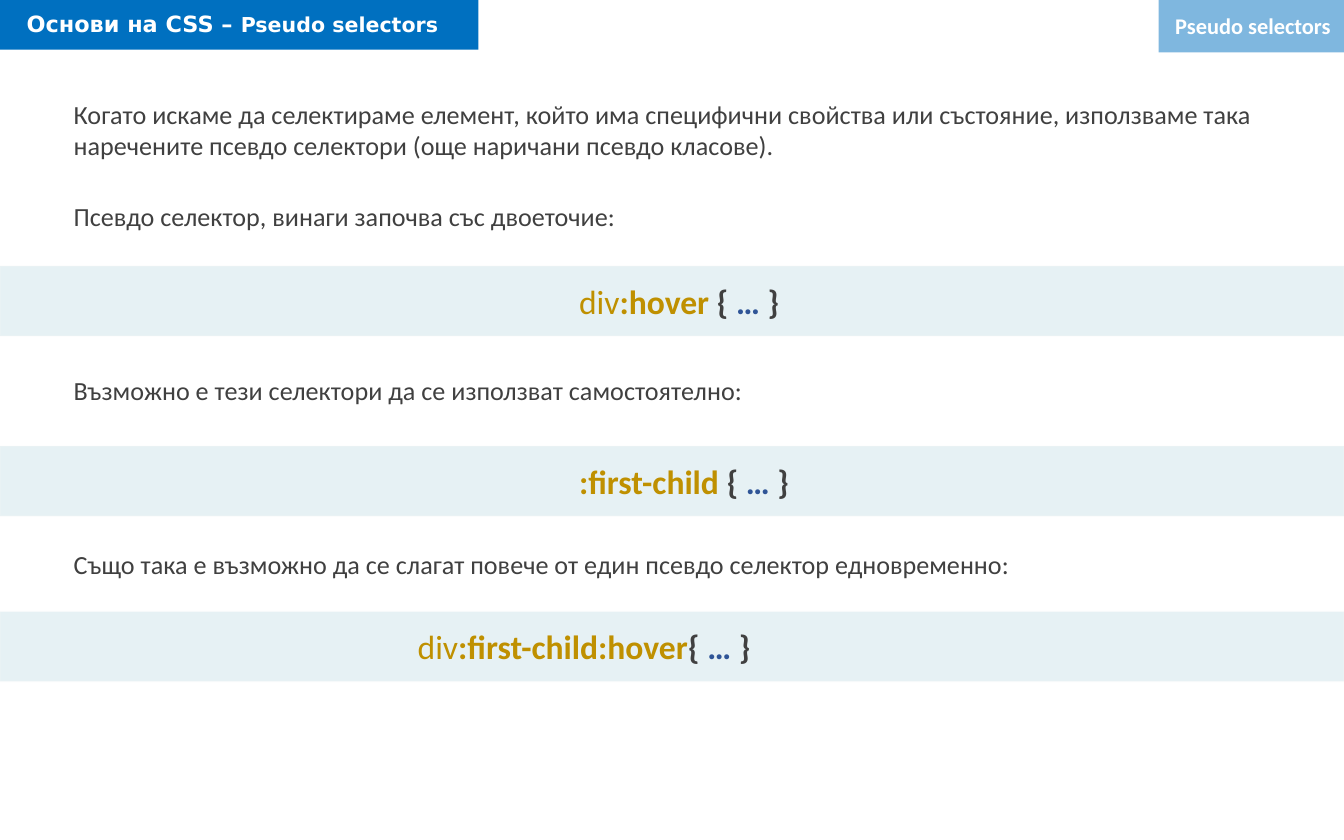
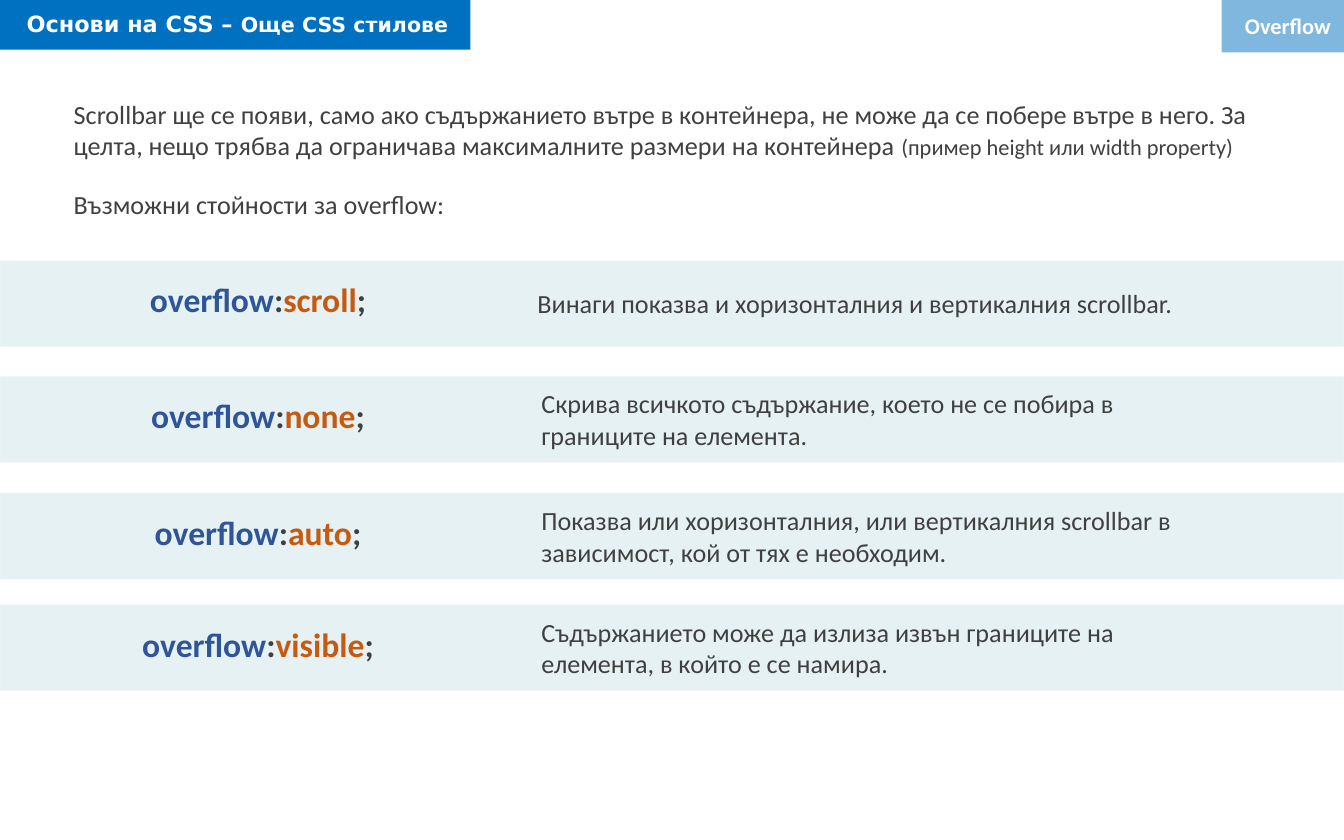
from lxml import etree
from pptx import Presentation
from pptx.dml.color import RGBColor
from pptx.enum.shapes import MSO_SHAPE
from pptx.enum.text import MSO_AUTO_SIZE, PP_ALIGN
from pptx.oxml.ns import qn
from pptx.util import Inches, Pt

WHITE = RGBColor(0xFF, 0xFF, 0xFF)
BLUE = RGBColor(0x00, 0x70, 0xC0)
TEAL = RGBColor(0x12, 0x79, 0x94)
PALE = RGBColor(0xF8, 0xF8, 0xF8)
GREY = RGBColor(0x40, 0x40, 0x40)
GOLD = RGBColor(0xBF, 0x90, 0x00)
NAVY = RGBColor(0x2F, 0x55, 0x97)
ORANGE = RGBColor(0xC5, 0x5A, 0x11)

# Text formats
BODY = {"name": "Calibri", "size": Pt(14), "color": GREY, "bold": False}
NOTE = BODY | {"size": Pt(12)}
TAG = NOTE | {"color": WHITE, "bold": True}
TITLE = TAG | {"name": "DejaVu Sans"}
SUBTITLE = TITLE | {"size": Pt(11)}
CODE = BODY | {"size": Pt(18), "bold": True}
ELEMENT = CODE | {"color": GOLD, "bold": False}
SELECTOR = CODE | {"color": GOLD}
PROPERTY = CODE | {"color": NAVY}
VALUE = CODE | {"color": ORANGE}

RULE_BODY = [("{ ", CODE), ("… ", PROPERTY), ("}", CODE)]
LINE_HEIGHTS = {1: 0.34, 2: 0.57}


class LessonDeck:
    def __init__(self):
        self.deck = Presentation()
        self.deck.slide_width = Inches(10)
        self.deck.slide_height = Inches(6.25)
        self.page = None

    def add_page(self, topic, title_width, tag, tag_width):
        """Start a slide with its title bar and corner tag."""
        self.page = self.deck.slides.add_slide(self.deck.slide_layouts[6])
        self.bar(0, -0.02, title_width, 0.39, BLUE)
        self.text(0.1, 0.03, title_width, 0.3,
                  [[("Основи на CSS – ", TITLE), (topic, SUBTITLE)]])
        left = 10 - tag_width
        self.bar(left, 0, tag_width, 0.39, BLUE, 50)
        self.text(left, 0.04, tag_width, 0.3, [[(tag, TAG)]], PP_ALIGN.RIGHT)

    def set_alpha(self, fill, percent):
        color = fill._xPr.find(qn("a:solidFill"))[0]
        etree.SubElement(color, qn("a:alpha"), val=str(percent * 1000))

    def bar(self, left, top, width, height, color, alpha=100):
        shape = self.page.shapes.add_shape(
            MSO_SHAPE.RECTANGLE, Inches(left), Inches(top), Inches(width), Inches(height))
        shape.shadow.inherit = False
        shape.fill.solid()
        shape.fill.fore_color.rgb = color
        if alpha < 100:
            self.set_alpha(shape.fill, alpha)
        shape.line.fill.background()
        return shape

    def band(self, top, height):
        """Draw a pale strip across the slide."""
        line = self.bar(0, top, 10, height, TEAL, 10).line
        line.color.rgb = PALE
        line.width = Pt(1)
        self.set_alpha(line.fill, 16)

    def text(self, left, top, width, height, paragraphs, align=PP_ALIGN.LEFT, gap=0):
        box = self.page.shapes.add_textbox(
            Inches(left), Inches(top), Inches(width), Inches(height))
        frame = box.text_frame
        frame.word_wrap = True
        frame.auto_size = MSO_AUTO_SIZE.SHAPE_TO_FIT_TEXT
        for index, spans in enumerate(paragraphs):
            para = frame.add_paragraph() if index else frame.paragraphs[0]
            para.alignment = align
            if index:
                para.space_before = Pt(gap)
            for words, style in spans:
                span = para.add_run()
                span.text = words
                for key, value in style.items():
                    if key == "color":
                        span.font.color.rgb = value
                    else:
                        setattr(span.font, key, value)

    def body(self, top, words, lines=1):
        self.text(0.45, top, 9.06, LINE_HEIGHTS[lines], [[(words, BODY)]])

    def rule(self, top, left, width, selectors):
        """Show a CSS rule on a band."""
        self.band(top, 0.52)
        self.text(left, top + 0.06, width, 0.4, [selectors + RULE_BODY])

    def option(self, top, value, meaning, left, lines):
        """Show an overflow value and its meaning on a band."""
        self.band(top, 0.64)
        self.text(0.59, top + 0.09, 2.66, 0.4,
                  [[("overflow", PROPERTY), (":", CODE), (value, VALUE), (";", CODE)]],
                  PP_ALIGN.CENTER)
        height = LINE_HEIGHTS[lines]
        self.text(left, top + (0.64 - height) / 2, 5.12, height, [[(meaning, BODY)]])


def main():
    lesson = LessonDeck()

    # Pseudo selectors
    lesson.add_page("Pseudo selectors", 3.56, "Pseudo selectors", 1.38)
    lesson.body(0.68, "Когато искаме да селектираме елемент, който има специфични свойства "
                "или състояние, използваме така наречените псевдо селектори "
                "(още наричани псевдо класове).", lines=2)
    lesson.body(1.44, "Псевдо селектор, винаги започва със двоеточие:")
    lesson.rule(1.98, 4.21, 2.05, [("div", ELEMENT), (":hover ", SELECTOR)])
    lesson.body(2.74, "Възможно е тези селектори да се използват самостоятелно:")
    lesson.rule(3.32, 4.21, 2.05, [(":first-child ", SELECTOR)])
    lesson.body(4.03, "Също така е възможно да се слагат повече от един псевдо селектор "
                "едновременно:")
    lesson.rule(4.55, 3.01, 4.46, [("div", ELEMENT), (":first-child:hover", SELECTOR)])

    # Overflow
    lesson.add_page("Още CSS стилове", 3.5, "Overflow", 0.91)
    lesson.text(0.45, 0.68, 9.28, 1.01, [
        [("Scrollbar ще се появи, само ако съдържанието вътре в контейнера, не може да се "
          "побере вътре в него. За целта, нещо трябва да ограничава максималните размери "
          "на контейнера ", BODY), ("(пример height или width property)", NOTE)],
        [("Възможни стойности за overflow:", BODY)],
    ], gap=14.65)
    options = [
        (1.94, "scroll", "Винаги показва и хоризонталния и вертикалния scrollbar.", 3.9, 1),
        (2.8, "none", "Скрива всичкото съдържание, което не се побира в границите "
         "на елемента.", 3.93, 2),
        (3.67, "auto", "Показва или хоризонталния, или вертикалния scrollbar в зависимост, "
         "кой от тях е необходим.", 3.93, 2),
        (4.5, "visible", "Съдържанието може да излиза извън границите на елемента, "
         "в който е се намира.", 3.93, 2),
    ]
    for option in options:
        lesson.option(*option)

    lesson.deck.save("out.pptx")


if __name__ == "__main__":
    main()
